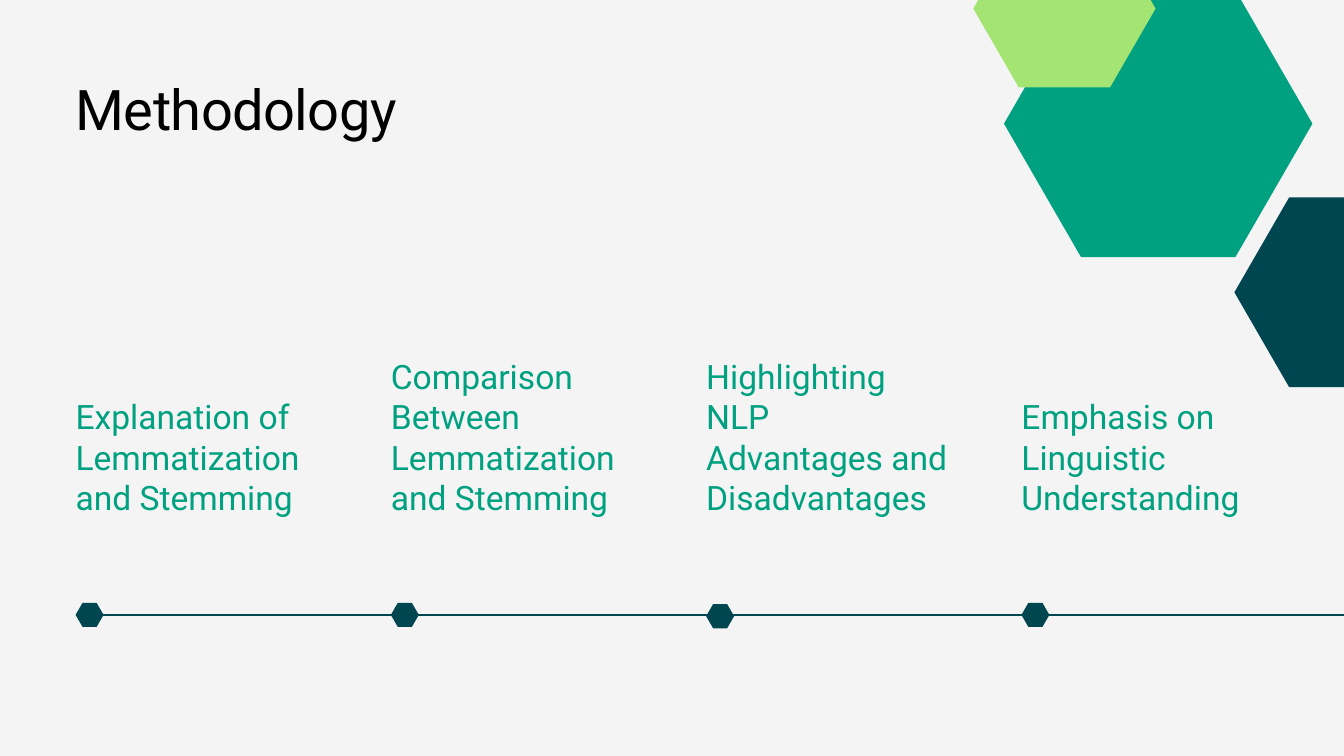
"""Build the Methodology timeline slide."""
import math
from dataclasses import dataclass

import lxml.etree
import pptx
import pptx.dml.color
import pptx.enum.shapes
import pptx.enum.text
import pptx.oxml.ns
import pptx.util

Pt = pptx.util.Pt


@dataclass(frozen=True)
class Theme:
    """Colours, font and type sizes of the slide."""

    background: str = "F4F4F4"
    ink: str = "000000"
    dark: str = "004651"
    green: str = "00A181"
    light: str = "A4E473"
    font: str = "Roboto"
    title_size: float = 60
    step_size: float = 36
    leading: float = 1.2


class SlideBuilder:
    """Draw styled elements on the current slide."""

    def __init__(self, slide, theme):
        """Keep the slide and theme, and paint the background."""
        self.slide = slide
        self.theme = theme
        self.paint(slide.background.fill, theme.background)

    def paint(self, fill, color):
        """Make a fill solid in one colour."""
        fill.solid()
        fill.fore_color.rgb = pptx.dml.color.RGBColor.from_string(color)

    def line(self, start_x, end_x, y, color, weight):
        """Draw a horizontal line."""
        connector = self.slide.shapes.add_connector(
            pptx.enum.shapes.MSO_CONNECTOR.STRAIGHT, Pt(start_x), Pt(y), Pt(end_x), Pt(y)
        )
        self.paint(connector.line.fill, color)
        connector.line.width = Pt(weight)
        properties = connector._element.spPr
        lxml.etree.SubElement(properties, pptx.oxml.ns.qn("a:effectLst"))

    def hexagon(self, left, center_y, width, color):
        """Draw a regular hexagon with its points left and right."""
        height = width * math.sqrt(3) / 2
        shape = self.slide.shapes.add_shape(
            pptx.enum.shapes.MSO_SHAPE.HEXAGON,
            Pt(left), Pt(center_y - height / 2), Pt(width), Pt(height),
        )
        shape.adjustments[0] = width / 4 / height
        shape.shadow.inherit = False
        self.paint(shape.fill, color)
        shape.line.fill.background()

    def text(self, content, left, top, width, height, size, color, tracking=0):
        """Add a wrapped text box without margins."""
        box = self.slide.shapes.add_textbox(Pt(left), Pt(top), Pt(width), Pt(height))
        frame = box.text_frame
        frame.margin_left = frame.margin_right = 0
        frame.margin_top = frame.margin_bottom = 0
        frame.word_wrap = True
        frame.auto_size = pptx.enum.text.MSO_AUTO_SIZE.SHAPE_TO_FIT_TEXT
        paragraph = frame.paragraphs[0]
        paragraph.line_spacing = Pt(size * self.theme.leading)
        run = paragraph.add_run()
        run.text = content
        run.font.name = self.theme.font
        run.font.size = Pt(size)
        self.paint(run.font.fill, color)
        if tracking:
            run._r.get_or_add_rPr().set("spc", str(round(tracking * 100)))


def main():
    """Create and save the presentation."""
    theme = Theme()
    presentation = pptx.Presentation()
    presentation.slide_width, presentation.slide_height = Pt(1440), Pt(810)
    slide = presentation.slides.add_slide(presentation.slide_layouts[6])
    builder = SlideBuilder(slide, theme)

    margin, step_pitch, step_width, steps_bottom = 81, 337.8, 264, 554
    timeline_y, marker_width = 658.8, 30
    steps = [
        ("Explanation of Lemmatization and Stemming", 3, 0),
        ("Comparison Between Lemmatization and Stemming", 4, 0),
        ("Highlighting NLP Advantages and Disadvantages", 4, 1.4),
        ("Emphasis on Linguistic Understanding", 3, 0),
    ]

    builder.line(100, 1440, timeline_y, theme.dark, 1.5)
    builder.text("Methodology", margin, 80, 448.5, 72, theme.title_size, theme.ink, -0.6)
    for index, (label, line_count, marker_drop) in enumerate(steps):
        left = margin + index * step_pitch
        height = line_count * theme.step_size * theme.leading
        builder.text(label, left, steps_bottom - height, step_width, height,
                     theme.step_size, theme.green)
        builder.hexagon(left, timeline_y + marker_drop, marker_width, theme.dark)

    builder.hexagon(1322.6, 313.2, 234.7, theme.dark)
    builder.hexagon(1075.7, 132.5, 330.5, theme.green)
    builder.hexagon(1042.8, 9.2, 195.3, theme.light)

    presentation.save("out.pptx")


if __name__ == "__main__":
    main()
